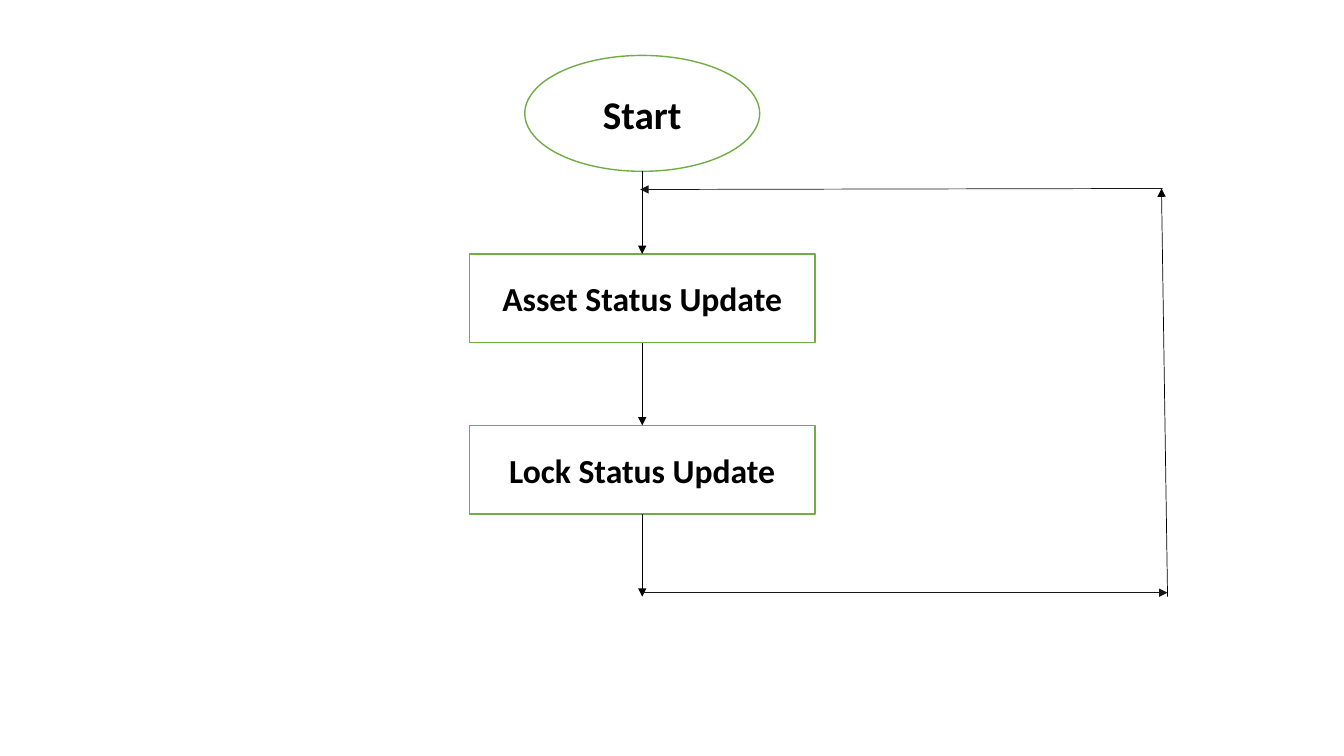
from dataclasses import dataclass

from lxml import etree
from pptx import Presentation
from pptx.dml.color import RGBColor
from pptx.enum.shapes import MSO_CONNECTOR, MSO_SHAPE
from pptx.enum.text import MSO_ANCHOR, PP_ALIGN
from pptx.oxml.ns import qn
from pptx.util import Inches, Pt

OVAL, RECTANGLE = MSO_SHAPE.OVAL, MSO_SHAPE.RECTANGLE
STRAIGHT = MSO_CONNECTOR.STRAIGHT
CENTER, MIDDLE = PP_ALIGN.CENTER, MSO_ANCHOR.MIDDLE
TOP_SIDE, BOTTOM_SIDE = 0, 2


@dataclass(frozen=True)
class Theme:
    font: str = "Calibri"
    paper: RGBColor = RGBColor(0xFF, 0xFF, 0xFF)
    outline: RGBColor = RGBColor(0x70, 0xAD, 0x47)
    ink: RGBColor = RGBColor(0x00, 0x00, 0x00)
    loop_ink: RGBColor = RGBColor(0x18, 0x17, 0x17)
    start_size: int = 28
    step_size: int = 24
    outline_width: float = 1
    arrow_width: float = 0.5


theme = Theme()

deck = Presentation()
deck.slide_width, deck.slide_height = Inches(13.33), Inches(7.5)
page = deck.slides.add_slide(deck.slide_layouts[6])


def add_node(kind, label, size, top, width, height):
    """Add a labelled flowchart node centred on the main axis."""
    node = page.shapes.add_shape(
        kind, Inches(axis - width / 2), Inches(top), Inches(width), Inches(height))
    node.shadow.inherit = False
    node.fill.solid()
    node.fill.fore_color.rgb = theme.paper
    node.line.color.rgb = theme.outline
    node.line.width = Pt(theme.outline_width)
    node.text_frame.vertical_anchor = MIDDLE
    para = node.text_frame.paragraphs[0]
    para.alignment = CENTER
    span = para.add_run()
    span.text = label
    span.font.name = theme.font
    span.font.size = Pt(size)
    span.font.bold = True
    span.font.color.rgb = theme.ink
    return node


def add_arrow(begin, end, color):
    arrow = page.shapes.add_connector(
        STRAIGHT, *(Inches(length) for length in begin + end))
    arrow.line.color.rgb = color
    arrow.line.width = Pt(theme.arrow_width)
    etree.SubElement(arrow.line._get_or_add_ln(), qn("a:tailEnd"), type="triangle")
    etree.SubElement(arrow._element.spPr, qn("a:effectLst"))
    return arrow


# Main column: equal gaps between the nodes
axis = 6.37
gap = 0.82
start_top, start_width, start_height = 0.55, 2.33, 1.15
step_width, step_height = 3.43, 0.88

add_node(OVAL, "Start", theme.start_size, start_top, start_width, start_height)
bottom = start_top + start_height
previous_step = None
for label in ("Asset Status Update", "Lock Status Update"):
    top = bottom + gap
    step = add_node(RECTANGLE, label, theme.step_size, top, step_width, step_height)
    arrow = add_arrow((axis, bottom), (axis, top), theme.ink)
    if previous_step:
        arrow.begin_connect(previous_step, BOTTOM_SIDE)
    arrow.end_connect(step, TOP_SIDE)
    previous_step, bottom = step, top + step_height

exit_end = bottom + gap
exit_arrow = add_arrow((axis, bottom), (axis, exit_end), theme.ink)
exit_arrow.begin_connect(previous_step, BOTTOM_SIDE)

# Return loop to the arrow below Start
loop_right, loop_top, loop_bottom = 11.58, 1.87, 5.88
loop_arrows = (
    ((axis, loop_bottom), (loop_right, loop_bottom), theme.loop_ink),
    ((loop_right, exit_end), (11.52, loop_top), theme.ink),
    ((11.53, loop_top), (6.35, 1.88), theme.loop_ink),
)
for begin, end, color in loop_arrows:
    add_arrow(begin, end, color)

deck.save("out.pptx")
